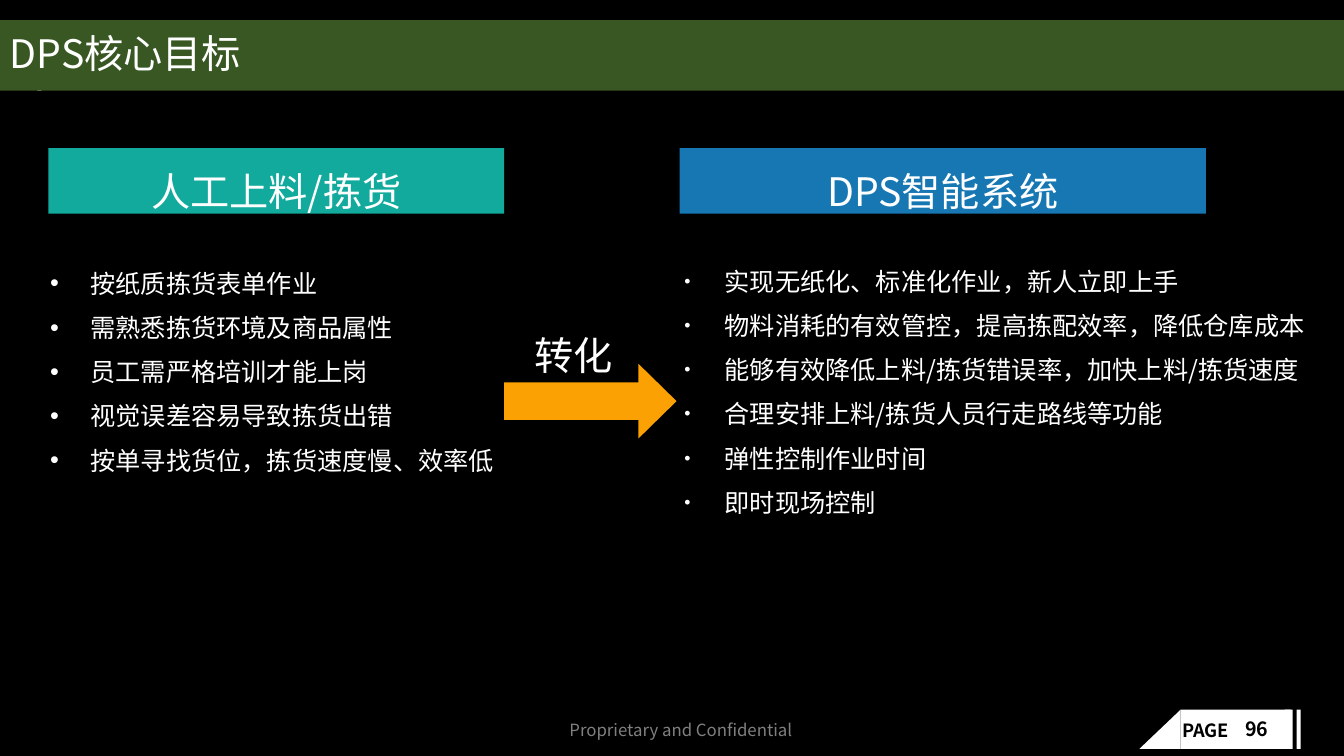
import pptx
import pptx.util
import pptx.dml.color
import pptx.enum.shapes
import pptx.enum.text
import pptx.oxml.ns
import lxml.etree

PX = 9144  # 100 px to the inch
FONT = "Noto Sans CJK SC"
WHITE, BLACK = "FFFFFF", "000000"
SHAPES = pptx.enum.shapes.MSO_SHAPE
ALIGN = pptx.enum.text.PP_ALIGN
ANCHOR = pptx.enum.text.MSO_ANCHOR

MANUAL_POINTS = [
    "按纸质拣货表单作业",
    "需熟悉拣货环境及商品属性",
    "员工需严格培训才能上岗",
    "视觉误差容易导致拣货出错",
    "按单寻找货位，拣货速度慢、效率低",
]
SYSTEM_POINTS = [
    "实现无纸化、标准化作业，新人立即上手",
    "物料消耗的有效管控，提高拣配效率，降低仓库成本",
    "能够有效降低上料/拣货错误率，加快上料/拣货速度",
    "合理安排上料/拣货人员行走路线等功能",
    "弹性控制作业时间",
    "即时现场控制",
]


def color(value):
    return pptx.dml.color.RGBColor.from_string(value)


def add_element(parent, tag, **attributes):
    element = lxml.etree.SubElement(parent, pptx.oxml.ns.qn(tag))
    for name, value in attributes.items():
        element.set(name, value)
    return element


def add_block(page, kind, box, fill):
    """Add a filled shape without outline or shadow."""
    shape = page.shapes.add_shape(kind, *(length * PX for length in box))
    shape.shadow.inherit = False
    shape.fill.solid()
    shape.fill.fore_color.rgb = color(fill)
    shape.line.fill.background()
    return shape


def add_bullet(para, size_percent):
    """Give a paragraph a white hanging bullet."""
    properties = para._p.get_or_add_pPr()
    properties.set("marL", str(49 * PX))
    properties.set("indent", str(-40 * PX))
    bullet_color = add_element(properties, "a:buClr")
    add_element(bullet_color, "a:srgbClr", val=WHITE)
    add_element(properties, "a:buSzPct", val=str(size_percent * 1000))
    add_element(properties, "a:buFont", typeface="Arial")
    add_element(properties, "a:buChar", char="•")


def write(shape, lines, size, ink=WHITE, bold=False, align=ALIGN.LEFT,
          anchor=ANCHOR.TOP, leading=1.0, bullet_percent=None):
    frame = shape.text_frame
    frame.word_wrap = True
    frame.vertical_anchor = anchor
    for index, line in enumerate(lines):
        para = frame.paragraphs[0] if index == 0 else frame.add_paragraph()
        span = para.add_run()
        span.text = line
        para.alignment = align
        para.line_spacing = pptx.util.Pt(round(size * 1.2 * leading, 1))
        if index:
            para.space_before = pptx.util.Pt(10)
        if bullet_percent:
            add_bullet(para, bullet_percent)
        para.font.name = FONT
        para.font.size = pptx.util.Pt(size)
        para.font.bold = bold
        para.font.color.rgb = color(ink)
        # East Asian glyphs take the same typeface
        add_element(span._r.get_or_add_rPr(), "a:ea", typeface=FONT)


def add_label(page, box, lines, size, **style):
    label = page.shapes.add_textbox(*(length * PX for length in box))
    write(label, lines, size, **style)


def add_footer(page, left, top):
    """Confidentiality line and the page number tag."""
    height = 39
    add_block(page, SHAPES.RECTANGLE, (left + 41, top, 109, height), WHITE)
    slant = add_block(page, SHAPES.RIGHT_TRIANGLE,
                      (left, top, 41, height), WHITE)
    slant._element.spPr.xfrm.set("flipH", "1")
    for offset, width in ((144, 8), (156, 4)):
        add_block(page, SHAPES.RECTANGLE,
                  (left + offset, top, width, height), WHITE)
    add_label(page, (left + 33, top + 5, 73, 32), ["PAGE"], 13,
              ink=BLACK, bold=True)
    add_label(page, (left + 95, top + 5, 58, 32), ["96"], 14,
              ink=BLACK, bold=True, leading=0.9)
    add_label(page, (555, top + 5, 256, 30),
              ["Proprietary and Confidential"], 12, ink="808080")


def add_title(page, box):
    left, top, width, height = box
    add_block(page, SHAPES.RECTANGLE,
              (left + 37, top + 4, 4, height - 4), WHITE)
    band = add_block(page, SHAPES.RECTANGLE, box, "385723")
    write(band, ["DPS核心目标"], 28, anchor=ANCHOR.MIDDLE, leading=0.9)


def add_column(page, heading_box, heading, fill, list_box, points,
               bullet_percent):
    """Coloured heading above a bulleted list."""
    banner = add_block(page, SHAPES.RECTANGLE, heading_box, fill)
    write(banner, [heading], 28, align=ALIGN.CENTER, leading=1.3)
    add_label(page, list_box, points, 18, bullet_percent=bullet_percent)


def add_change_arrow(page, box):
    left, top, width, height = box
    arrow = add_block(page, SHAPES.RIGHT_ARROW, box, "FCA104")
    arrow.adjustments[0] = 0.5
    arrow.adjustments[1] = 0.51
    add_label(page, (left + 20, top - 51, 99, 65), ["转化"], 28, leading=1.3)


def main():
    deck = pptx.Presentation()
    deck.slide_width = 1333 * PX
    deck.slide_height = 750 * PX
    page = deck.slides.add_slide(deck.slide_layouts[6])
    page.background.fill.solid()
    page.background.fill.fore_color.rgb = color(BLACK)

    add_footer(page, 1130, 704)
    add_title(page, (0, 20, 1333, 70))
    add_column(page, (48, 147, 452, 65), "人工上料/拣货", "12AA9C",
               (31, 261, 500, 417), MANUAL_POINTS, 100)
    add_column(page, (674, 147, 522, 65), "DPS智能系统", "1677B3",
               (660, 259, 673, 286), SYSTEM_POINTS, 70)
    add_change_arrow(page, (500, 361, 171, 74))
    deck.save("out.pptx")


if __name__ == "__main__":
    main()
